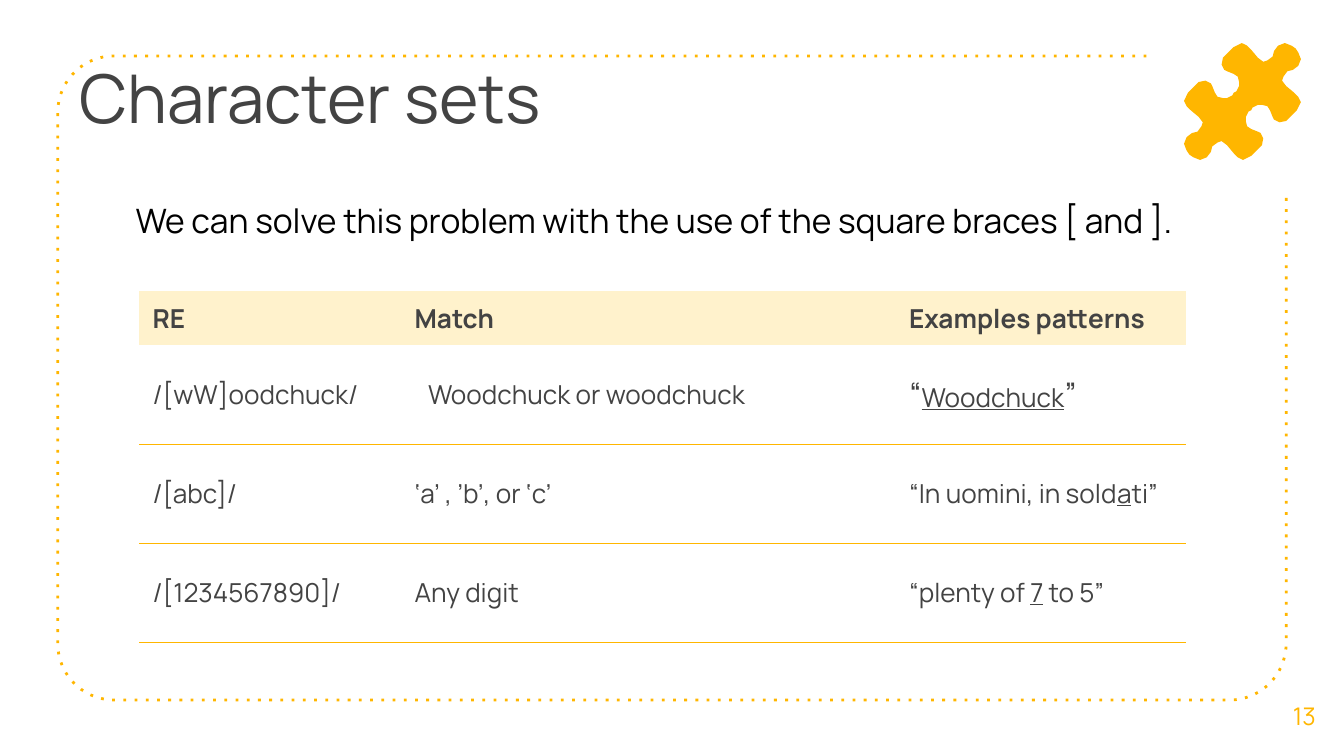
from dataclasses import dataclass
from math import cos, radians, sin

from lxml import etree
from pptx import Presentation, util as u
from pptx.dml import color
from pptx.enum import text
from pptx.oxml import ns

FONT = "Manrope"
COLORS = {
    "gold": "FFB600",
    "cream": "FFF2CC",
    "ink": "434343",
    "black": "000000",
}
SLIDE_WIDTH = u.Inches(10)
SLIDE_HEIGHT = SLIDE_WIDTH * 9 // 16
COLUMN_SHARES = (19.5, 27.6, 9.2, 21.6)
ROW_SHARES = (6.4, 13.1, 13.1, 13.1)
PIECE_STEP = 0.05
PIECE_QUARTER = [
    (-13, -13), (-9, -15), (-5, -23), (-5, -29), (-7, -37), (-13, -41),
    (-23, -45), (-27, -47), (-31, -55), (-29, -65), (-21, -73), (-13, -81),
    (-1, -87), (7, -83), (13, -77), (23, -65), (31, -59), (37, -61),
    (45, -67), (47, -75), (53, -83), (63, -87), (73, -83), (79, -79),
]


@dataclass(frozen=True)
class Box:
    left: float
    top: float
    width: float
    height: float

    def lengths(self) -> tuple:
        return across(self.left), down(self.top), across(self.width), down(self.height)


@dataclass(frozen=True)
class Run:
    words: str
    size: float = 14
    underline: bool = False


@dataclass(frozen=True)
class Row:
    pattern: str
    match: str
    example: tuple
    sides: str = "TB"
    match_align: text.PP_ALIGN = text.PP_ALIGN.LEFT


TITLE_BOX = Box(4.9, 5.69, 75.1, 16.73)
BODY_BOX = Box(9.1, 24.73, 82.2, 30.78)
NUMBER_BOX = Box(94.1, 89.32, 5.9, 10.68)
TABLE_BOX = Box(10.35, 38.45, sum(COLUMN_SHARES), 46.22)
ROWS = [
    Row("/[wW]oodchuck/", "Woodchuck or woodchuck",
        (Run("“", 18), Run("Woodchuck", underline=True), Run("”", 18)),
        "B", text.PP_ALIGN.CENTER),
    Row("/[abc]/", "‘a’ , ’b’, or ‘c’",
        (Run("“In uomini, in sold"), Run("a", underline=True), Run("ti”"))),
    Row("/[1234567890]/", "Any digit",
        (Run("“plenty of "), Run("7", underline=True), Run(" to 5”"))),
]


def across(share: float) -> int:
    return round(SLIDE_WIDTH * share / 100)


def down(share: float) -> int:
    return round(SLIDE_HEIGHT * share / 100)


def rgb(name: str) -> color.RGBColor:
    return color.RGBColor.from_string(COLORS[name])


def write(frame, runs, *, size=14, ink="ink", bold=False,
          align=text.PP_ALIGN.LEFT) -> None:
    paragraph = frame.paragraphs[0]
    paragraph.alignment = align
    paragraph.space_before = u.Pt(0)
    if isinstance(runs, str):
        runs = (Run(runs, size),)
    for item in runs:
        run = paragraph.add_run()
        run.text = item.words
        font = run.font
        font.name, font.size, font.bold = FONT, u.Pt(item.size), bold
        font.underline = item.underline
        font.color.rgb = rgb(ink)


def place(shape, box: Box, anchor=text.MSO_ANCHOR.TOP) -> None:
    shape.left, shape.top, shape.width, shape.height = box.lengths()
    frame = shape.text_frame
    frame.word_wrap = True
    frame.vertical_anchor = anchor
    frame.auto_size = text.MSO_AUTO_SIZE.NONE
    frame.margin_left = frame.margin_right = u.Inches(0.1)
    frame.margin_top = frame.margin_bottom = u.Inches(0.1)


def draw_path(slide, points: list, close: bool):
    builder = slide.shapes.build_freeform(*points[0])
    builder.add_line_segments(points[1:], close=close)
    shape = builder.convert_to_shape()
    shape.shadow.inherit = False
    return shape


def corner(center_x: int, center_y: int, start: int) -> list:
    radius = across(4.2)
    angles = [radians(start - step) for step in range(0, 91, 6)]
    return [(round(center_x + radius * cos(angle)), round(center_y + radius * sin(angle)))
            for angle in angles]


def draw_frame(slide) -> None:
    radius = across(4.2)
    left, right = across(4.3) + radius, across(95.7) - radius
    top, bottom = down(7.4) + radius, down(92.6) - radius
    points = [(across(85.3), down(7.4))]
    points += corner(left, top, 270) + corner(left, bottom, 180) + corner(right, bottom, 90)
    points.append((across(95.7), down(25.98)))
    shape = draw_path(slide, points, False)
    shape.fill.background()
    shape.line.color.rgb = rgb("gold")
    shape.line.width = u.Pt(1.5)
    dash = etree.Element(ns.qn("a:prstDash"), val="dot")
    shape.line.fill._xPr.find(ns.qn("a:solidFill")).addnext(dash)


def draw_puzzle_piece(slide) -> None:
    half = PIECE_QUARTER + [(-y, -x) for x, y in reversed(PIECE_QUARTER)]
    outline = half + [(-x, -y) for x, y in half]
    points = [(across(92.45 + x * PIECE_STEP), down(13.43) + across(y * PIECE_STEP))
              for x, y in outline]
    shape = draw_path(slide, points, True)
    shape.fill.solid()
    shape.fill.fore_color.rgb = rgb("gold")
    shape.line.fill.background()


def set_borders(cell, sides: str) -> None:
    properties = cell._tc.get_or_add_tcPr()
    for index, side in enumerate("LRTB"):
        line = etree.Element(ns.qn(f"a:ln{side}"), w=str(u.Pt(0.75)))
        if side in sides:
            fill = etree.SubElement(line, ns.qn("a:solidFill"))
            etree.SubElement(fill, ns.qn("a:srgbClr"), val=COLORS["gold"])
            etree.SubElement(line, ns.qn("a:prstDash"), val="solid")
        else:
            etree.SubElement(line, ns.qn("a:noFill"))
        properties.insert(index, line)


def fill_cell(cell, runs, *, fill=None, sides="", **style) -> None:
    cell.margin_left = cell.margin_right = u.Inches(0.1)
    cell.margin_top = cell.margin_bottom = u.Inches(0.07)
    cell.vertical_anchor = text.MSO_ANCHOR.MIDDLE
    if fill:
        cell.fill.solid()
        cell.fill.fore_color.rgb = rgb(fill)
    else:
        cell.fill.background()
    set_borders(cell, sides)
    if runs:
        write(cell.text_frame, runs, **style)
    else:
        cell.text_frame.paragraphs[0].font.size = u.Pt(14)


def draw_table(slide) -> None:
    table = slide.shapes.add_table(
        len(ROW_SHARES), len(COLUMN_SHARES), *TABLE_BOX.lengths()).table
    for column, share in zip(table.columns, COLUMN_SHARES):
        column.width = across(share)
    for row, share in zip(table.rows, ROW_SHARES):
        row.height = down(share)
    for index, heading in enumerate(("RE", "Match", "", "Examples patterns")):
        fill_cell(table.cell(0, index), heading, fill="cream", bold=True)
    for number, row in enumerate(ROWS, start=1):
        for index, runs in enumerate((row.pattern, row.match, "", row.example)):
            align = row.match_align if index == 1 else text.PP_ALIGN.LEFT
            fill_cell(table.cell(number, index), runs, sides=row.sides, align=align)


def main() -> None:
    presentation = Presentation()
    presentation.slide_width, presentation.slide_height = SLIDE_WIDTH, SLIDE_HEIGHT
    slide = presentation.slides.add_slide(presentation.slide_layouts[1])
    draw_frame(slide)
    title, body = slide.shapes.title, slide.placeholders[1]
    place(title, TITLE_BOX)
    write(title.text_frame, "Character sets", size=36)
    place(body, BODY_BOX)
    properties = body.text_frame.paragraphs[0]._p.get_or_add_pPr()
    properties.set("marL", "0")
    properties.set("indent", "0")
    etree.SubElement(properties, ns.qn("a:buNone"))
    write(body.text_frame,
          "We can solve this problem with the use of the square braces [ and ].",
          size=18, ink="black")
    number = slide.shapes.add_textbox(*NUMBER_BOX.lengths())
    place(number, NUMBER_BOX, text.MSO_ANCHOR.MIDDLE)
    write(number.text_frame, "13", size=13, ink="gold", align=text.PP_ALIGN.CENTER)
    draw_puzzle_piece(slide)
    draw_table(slide)
    presentation.save("out.pptx")


if __name__ == "__main__":
    main()
